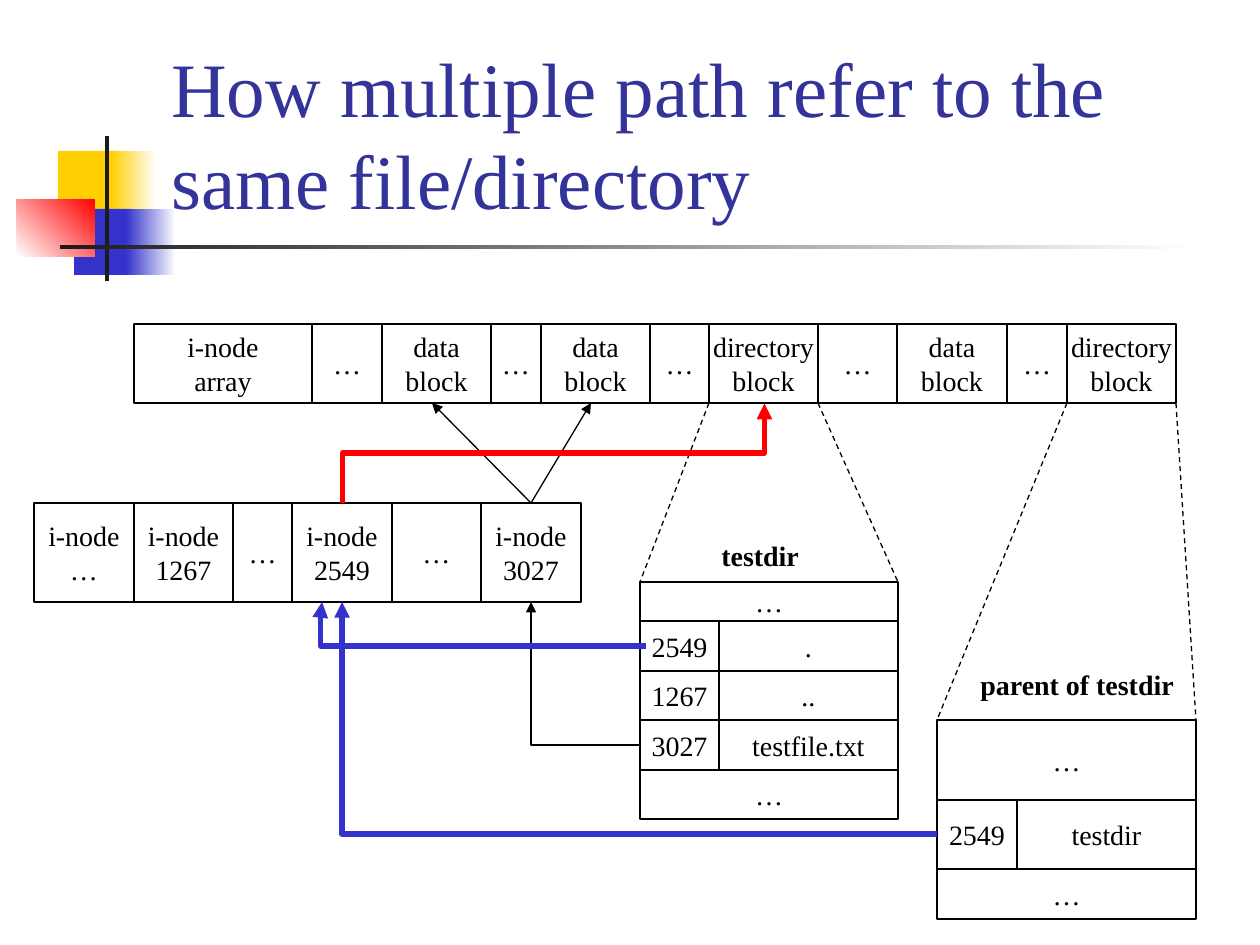
"""Build a slide showing how several paths lead to one file or directory."""
import dataclasses
import itertools

import lxml.etree
import pptx
import pptx.dml.color
import pptx.enum.dml
import pptx.enum.shapes
import pptx.enum.text
import pptx.oxml.ns
import pptx.util

SCALE = 914400 / 126
SHAPE = pptx.enum.shapes.MSO_SHAPE
LINK = pptx.enum.shapes.MSO_CONNECTOR
ANCHOR = pptx.enum.text.MSO_ANCHOR
ALIGN = pptx.enum.text.PP_ALIGN
DASH = pptx.enum.dml.MSO_LINE.DASH


@dataclasses.dataclass(frozen=True)
class Theme:
    face: str = "Times New Roman"
    head: int = 44
    body: int = 16
    thin: float = 0.75
    thick: float = 3
    title: str = "333399"
    ink: str = "000000"
    white: str = "FFFFFF"
    dark: str = "1C1C1C"
    gold: str = "FFCF01"
    blue: str = "3333CC"
    red: str = "FF0000"


def px(*nums):
    return [round(n * SCALE) for n in nums]


def rgb(code):
    return pptx.dml.color.RGBColor.from_string(code)


def apply(item, form):
    for name, value in form.items():
        setattr(item, name, value)


def add_tag(node, tag, **form):
    return lxml.etree.SubElement(node, pptx.oxml.ns.qn(tag), **form)


class Painter:
    def __init__(self, slide, theme):
        self.slide = slide
        self.theme = theme

    def letter(self, shape, text, form, size, color, align, bold=False):
        frame = shape.text_frame
        frame.text = text
        apply(frame, form)
        for para in frame.paragraphs:
            para.alignment = align
            apply(para.font, {"name": self.theme.face, "size": pptx.util.Pt(size), "bold": bold})
            para.font.color.rgb = rgb(color)

    def block(self, spot, color, fade=None, angle=0):
        shape = self.slide.shapes.add_shape(SHAPE.RECTANGLE, *px(*spot))
        shape.shadow.inherit = False
        shape.line.fill.background()
        if fade is None:
            shape.fill.solid()
            shape.fill.fore_color.rgb = rgb(color)
            return
        shape.fill.gradient()
        shape.fill.gradient_angle = angle
        for stop, code in zip(shape.fill.gradient_stops, (color, fade)):
            stop.color.rgb = rgb(code)

    def cell(self, left, top, right, base, text):
        shape = self.slide.shapes.add_shape(SHAPE.RECTANGLE, *px(left, top, right - left, base - top))
        shape.shadow.inherit = False
        shape.fill.background()
        self.stroke(shape.line, self.theme.ink, self.theme.thin)
        form = {"word_wrap": False, "vertical_anchor": ANCHOR.MIDDLE}
        self.letter(shape, text, form, self.theme.body, self.theme.ink, ALIGN.CENTER)

    def row(self, edges, top, base, texts):
        for (left, right), text in zip(itertools.pairwise(edges), texts):
            self.cell(left, top, right, base, text)

    def table(self, cols, edges, rows):
        for (top, base), texts in zip(itertools.pairwise(edges), rows):
            self.row(cols if len(texts) > 1 else cols[::2], top, base, texts)

    def stroke(self, line, color, width):
        line.color.rgb = rgb(color)
        line.width = pptx.util.Pt(width)

    def line(self, start, end, color, width, kind=LINK.STRAIGHT, dash=False):
        link = self.slide.shapes.add_connector(kind, *px(*start, *end))
        self.stroke(link.line, color, width)
        node = link._element.spPr
        if dash:
            link.line.dash_style = DASH
        else:
            add_tag(node.find(pptx.oxml.ns.qn("a:ln")), "a:tailEnd", type="triangle")
        add_tag(node, "a:effectLst")
        return link

    def bend(self, spot, turn, color, width, shift=None):
        left, top, wide, high = spot
        link = self.line((left, top), (left + wide, top + high), color, width, LINK.ELBOW)
        node = link._element.spPr
        node.find(pptx.oxml.ns.qn("a:xfrm")).set("rot", str(turn * 60000))
        geom = node.find(pptx.oxml.ns.qn("a:prstGeom"))
        if shift is None:
            geom.set("prst", "bentConnector2")
            return
        for old in list(geom):
            geom.remove(old)
        add_tag(add_tag(geom, "a:avLst"), "a:gd", name="adj1", fmla=f"val {shift}")

    def label(self, spot, text):
        box = self.slide.shapes.add_textbox(*px(*spot))
        self.letter(box, text, {"word_wrap": False}, self.theme.body, self.theme.ink, ALIGN.LEFT, True)

    def title(self, spot, text):
        box = self.slide.shapes.add_textbox(*px(*spot))
        form = {"word_wrap": True, "vertical_anchor": ANCHOR.BOTTOM}
        self.letter(box, text, form, self.theme.head, self.theme.title, ALIGN.LEFT)


def main():
    deck = pptx.Presentation()
    deck.slide_width, deck.slide_height = px(1260, 945)
    theme = Theme()
    art = Painter(deck.slides.add_slide(deck.slide_layouts[6]), theme)

    art.block((58, 151, 60, 66), theme.gold)
    art.block((111, 151, 45, 66), theme.gold, theme.white)
    art.block((74, 209, 58, 66), theme.blue)
    art.block((126, 209, 50, 66), theme.blue, theme.white)
    art.block((17, 199, 78, 58), theme.white, theme.red, 45)
    art.block((105, 136, 4, 145), theme.dark)
    art.block((60, 245, 1134, 4), theme.dark, theme.white)
    art.title((159, 29, 1074, 202), "How multiple path refer to the same file/directory")

    data, folder, gap = "data\nblock", "directory\nblock", "…"
    disk = [134, 312, 382, 491, 541, 650, 709, 818, 897, 1007, 1067, 1176]
    art.row(disk, 324, 403, ["i-node\narray", gap, data, gap, data, gap, folder, gap, data, gap, folder])
    nodes = [34, 134, 233, 292, 392, 481, 581]
    art.row(nodes, 503, 602, ["i-node\n…", "i-node\n1267", gap, "i-node\n2549", gap, "i-node\n3027"])

    child = [(gap,), ("2549", "."), ("1267", ".."), ("3027", "testfile.txt"), (gap,)]
    art.table([640, 719, 898], [582, 621, 671, 720, 770, 819], child)
    art.table([937, 1017, 1196], [720, 800, 869, 919], [(gap,), ("2549", "testdir"), (gap,)])

    zooms = [(709, 640, 582), (818, 898, 582), (1067, 937, 720), (1176, 1196, 720)]
    for start, end, base in zooms:
        art.line((start, 403), (end, base), theme.ink, theme.thin, dash=True)
    for end in (591, 432):
        art.line((531, 503), (end, 403), theme.ink, theme.thin)
    art.bend((531, 602, 109, 143), 180, theme.ink, theme.thin)
    art.label((709, 532, 103, 47), "testdir")
    art.label((968, 661, 220, 47), "parent of testdir")

    art.bend((504, 242, 99, 422), 270, theme.red, theme.thick, 49900)
    art.bend((322, 602, 324, 44), 180, theme.blue, theme.thick, 100500)
    art.bend((342, 602, 595, 232), 180, theme.blue, theme.thick)
    deck.save("out.pptx")


if __name__ == "__main__":
    main()
